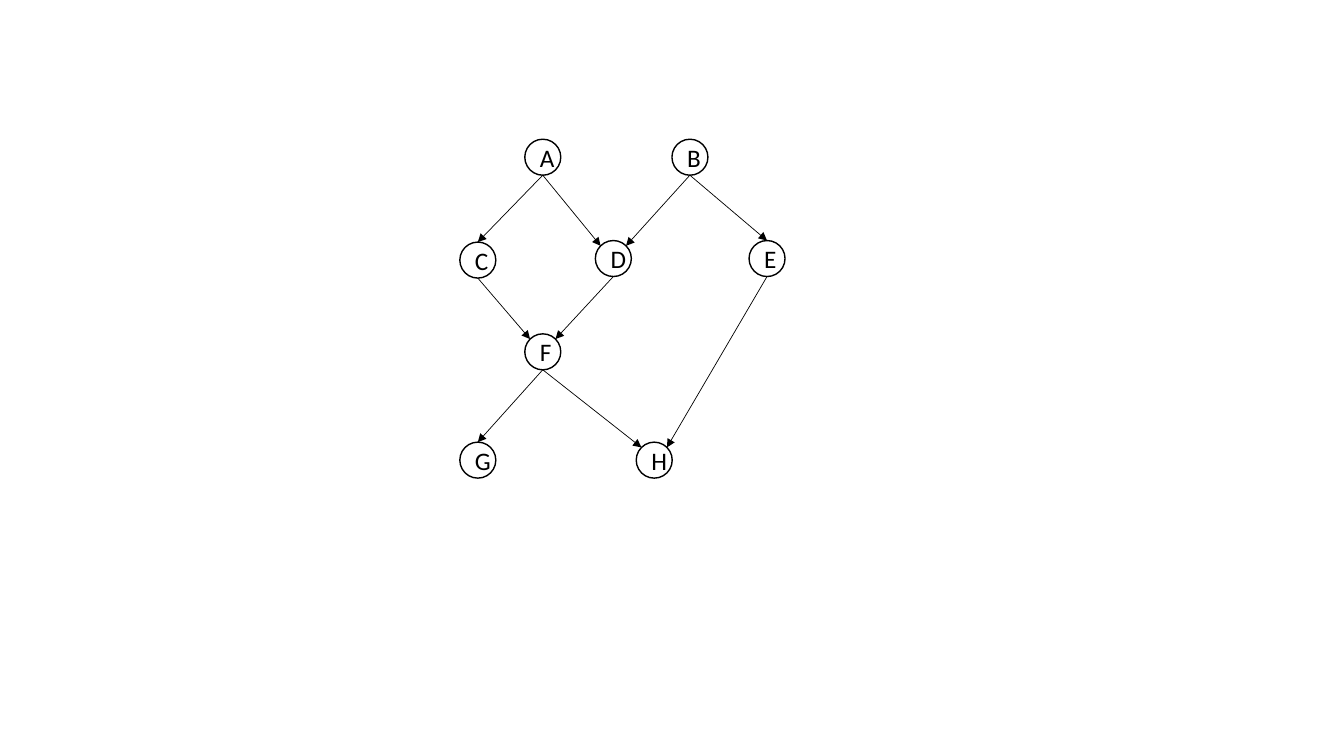
from math import sqrt

from lxml import etree
from pptx import Presentation
from pptx.dml.color import RGBColor
from pptx.enum.shapes import MSO_CONNECTOR, MSO_SHAPE
from pptx.enum.text import MSO_ANCHOR, PP_ALIGN
from pptx.oxml.ns import qn
from pptx.util import Pt

OVAL = MSO_SHAPE.OVAL
LINE = MSO_CONNECTOR.STRAIGHT
MIDDLE = MSO_ANCHOR.MIDDLE
CENTER = PP_ALIGN.CENTER

COLORS = {"ink": "000000", "paper": "FFFFFF"}
FONT = {"name": "Calibri", "size": Pt(18)}
SIZE = 25.7
RADIUS = SIZE / 2
SLANT = RADIUS / sqrt(2)

NODES = {
    "A": (387.7, 112.3),
    "B": (492.8, 112.3),
    "C": (341.3, 185.8),
    "D": (438.1, 184.7),
    "E": (547.9, 184.7),
    "F": (387.7, 251.3),
    "G": (341.3, 328.7),
    "H": (467.3, 328.7),
}
EDGES = ["AC", "AD", "BD", "BE", "CF", "DF", "FG", "FH", "EH"]


class Graph:
    def __init__(self, slide, colors, font):
        self.slide = slide
        self.colors = {name: RGBColor.from_string(code) for name, code in colors.items()}
        self.font = font

    def stroke(self, line, width):
        line.color.rgb = self.colors["ink"]
        line.width = Pt(width)

    def node(self, label, x, y):
        shape = self.slide.shapes.add_shape(
            OVAL, Pt(x - RADIUS), Pt(y - RADIUS), Pt(SIZE), Pt(SIZE)
        )
        shape.shadow.inherit = False
        shape.fill.solid()
        shape.fill.fore_color.rgb = self.colors["paper"]
        self.stroke(shape.line, 1)
        frame = shape.text_frame
        frame.vertical_anchor = MIDDLE
        para = frame.paragraphs[0]
        para.alignment = CENTER
        run = para.add_run()
        run.text = label
        for key, value in self.font.items():
            setattr(run.font, key, value)
        run.font.color.rgb = self.colors["ink"]

    def arrow(self, start, end):
        points = [Pt(value) for value in (*start, *end)]
        link = self.slide.shapes.add_connector(LINE, *points)
        self.stroke(link.line, 0.5)
        head = etree.SubElement(link.line._get_or_add_ln(), qn("a:tailEnd"))
        head.set("type", "triangle")
        etree.SubElement(link._element.spPr, qn("a:effectLst"))


def entry(source, target):
    x, y = NODES[target]
    parents = [edge for edge in EDGES if edge[1] == target]
    if len(parents) == 1:
        return x, y - RADIUS
    side = -SLANT if NODES[source][0] < x else SLANT
    return x + side, y - SLANT


def main():
    deck = Presentation()
    deck.slide_width, deck.slide_height = Pt(960), Pt(540)
    graph = Graph(deck.slides.add_slide(deck.slide_layouts[6]), COLORS, FONT)
    for label, (x, y) in NODES.items():
        graph.node(label, x, y)
    for source, target in EDGES:
        x, y = NODES[source]
        graph.arrow((x, y + RADIUS), entry(source, target))
    deck.save("out.pptx")


if __name__ == "__main__":
    main()
